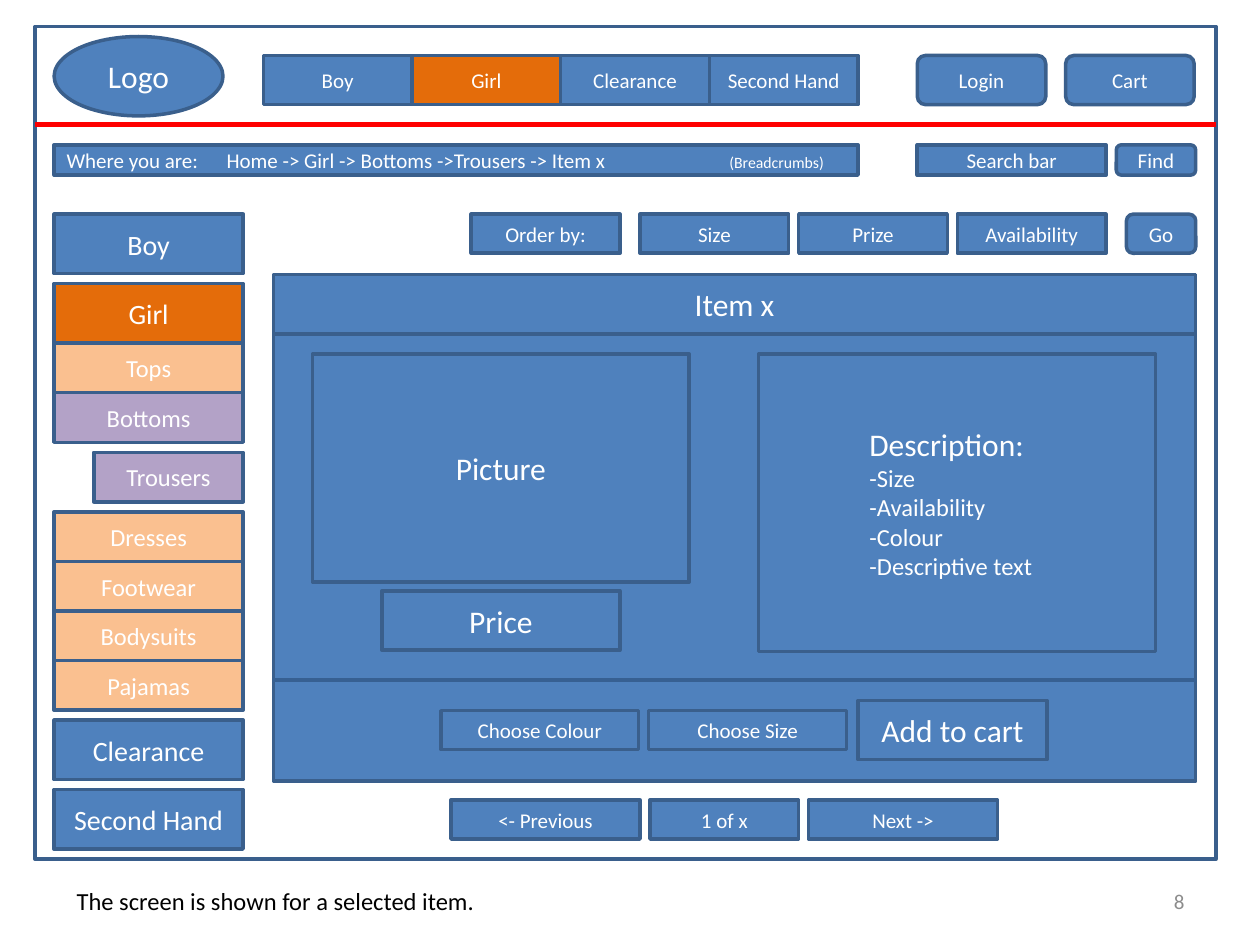
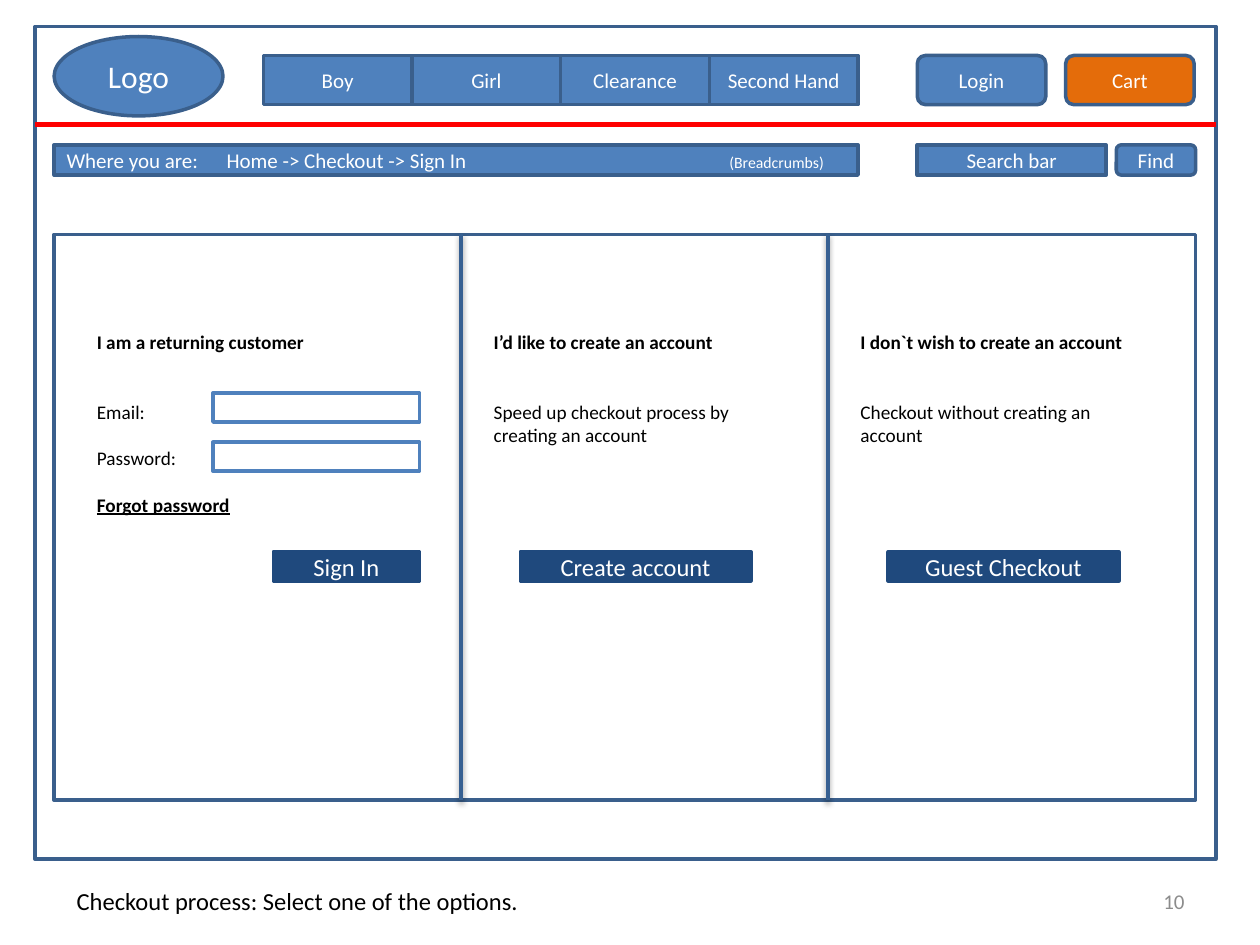
from dataclasses import dataclass
from typing import NamedTuple, Optional, Sequence

from lxml.etree import SubElement
from pptx import Presentation
from pptx.dml.color import RGBColor as Rgb
from pptx.enum.shapes import MSO_CONNECTOR as Link, MSO_SHAPE as Kind
from pptx.enum.text import MSO_ANCHOR as Anchor, PP_ALIGN as Align
from pptx.oxml.ns import qn
from pptx.shapes.autoshape import Shape
from pptx.slide import Slide
from pptx.text.text import _Paragraph as Para
from pptx.util import Inches, Pt


@dataclass(frozen=True)
class Theme:
    """Colours, type sizes and line widths of the wireframe."""
    font: str = "Calibri"
    blue: str = "4F81BD"
    edge: str = "3A5F8C"
    rule: str = "376092"
    navy: str = "1F497D"
    orange: str = "E46C0A"
    peach: str = "FAC090"
    purple: str = "B3A2C7"
    red: str = "FF0000"
    white: str = "FFFFFF"
    black: str = "000000"
    grey: str = "8C8C8C"
    tiny: float = 9
    body: float = 11
    small: float = 12
    mid: float = 14
    menu: float = 16
    large: float = 18
    line: float = 2


T = Theme()
STEP = 1 / 12.7  # layout grid of two millimetres, in inches
GAP = STEP
LEFT, RIGHT = 0.43, 9.49
BAR_TOP, TOOL_TOP, SORT_TOP = 0.44, 1.15, 1.7
LINE_PT = 13.4  # height of one line of body text


@dataclass
class Box:
    """A labelled shape."""
    text: str
    left: float
    top: float
    width: float
    height: float
    size: float = T.small
    fill: Optional[str] = T.blue
    edge: str = T.edge
    kind: Kind = Kind.RECTANGLE


class Entry(NamedTuple):
    """One entry of the side menu; steps are grid units."""
    text: str
    fill: str = T.peach
    size: float = T.mid
    tall: int = 5
    gap: int = 0
    indent: int = 0


class Note(NamedTuple):
    """One paragraph of body text, with the lines left free above it."""
    text: str
    skip: int = 0
    bold: bool = False
    under: bool = False


class Panel(NamedTuple):
    """One checkout option: its text and its button."""
    left: float
    width: float
    height: float
    notes: Sequence[Note]
    button: str
    start: float
    span: float


def style(para: Para, size: float, color: str, bold: bool = False,
          under: bool = False) -> None:
    """Format all runs of a paragraph."""
    for run in para.runs:
        font = run.font
        font.name, font.size = T.font, Pt(size)
        font.bold, font.underline = bold, under
        font.color.rgb = Rgb.from_string(color)


def draw(slide: Slide, box: Box) -> Shape:
    """Draw a box with its centred label."""
    shape = slide.shapes.add_shape(box.kind, Inches(box.left), Inches(box.top),
                                   Inches(box.width), Inches(box.height))
    shape.shadow.inherit = False
    if box.fill:
        shape.fill.solid()
        shape.fill.fore_color.rgb = Rgb.from_string(box.fill)
    else:
        shape.fill.background()
    shape.line.color.rgb = Rgb.from_string(box.edge)
    shape.line.width = Pt(T.line)
    if box.text:
        frame = shape.text_frame
        frame.text = box.text
        frame.vertical_anchor = Anchor.MIDDLE
        for para in frame.paragraphs:
            para.alignment = Align.CENTER
            style(para, box.size, T.white)
    return shape


def row(slide: Slide, texts: Sequence[str], left: float, top: float,
        widths: Sequence[float], height: float, gap: float = GAP,
        active: str = "", kind: Kind = Kind.RECTANGLE) -> None:
    """Draw boxes side by side; the active one is orange."""
    for text, width in zip(texts, widths):
        fill = T.orange if text == active else T.blue
        draw(slide, Box(text, left, top, width, height, fill=fill, kind=kind))
        left += width + gap


def rule(slide: Slide, start: tuple[float, float], end: tuple[float, float],
         color: str, width: float, shade: bool = False) -> None:
    """Draw a straight line, with a soft shadow if asked."""
    line = slide.shapes.add_connector(Link.STRAIGHT, *map(Inches, start + end))
    line.line.color.rgb = Rgb.from_string(color)
    line.line.width = Pt(width)
    effect = SubElement(line._element.spPr, qn("a:effectLst"))
    if shade:
        shadow = SubElement(effect, qn("a:outerShdw"), blurRad=str(Pt(3.1)),
                            dist=str(Pt(1.6)), dir="5400000", rotWithShape="0")
        tint = SubElement(shadow, qn("a:srgbClr"), val=T.black)
        SubElement(tint, qn("a:alpha"), val="38000")


def write(slide: Slide, notes: Sequence[Note], left: float, top: float,
          width: float, height: float, size: float, color: str = T.black) -> Shape:
    """Place plain text on the slide."""
    shape = slide.shapes.add_textbox(Inches(left), Inches(top),
                                     Inches(width), Inches(height))
    frame = shape.text_frame
    frame.word_wrap = True
    frame.text = "\n".join(note.text for note in notes)
    for para, note in zip(frame.paragraphs, notes):
        para.space_before = Pt(note.skip * LINE_PT)
        style(para, size, color, note.bold, note.under)
    return shape


def trail(slide: Slide, where: str) -> None:
    """Draw the breadcrumb bar with its tab stops."""
    bar = draw(slide, Box(f"Where you are:\t{where}\t", LEFT, TOOL_TOP, 6.38, 0.24))
    para = bar.text_frame.paragraphs[0]
    para.alignment = Align.LEFT
    para.add_run().text = "(Breadcrumbs)"
    style(para, T.small, T.white)
    para.runs[-1].font.size = Pt(T.tiny)
    tabs = SubElement(para._p.get_or_add_pPr(), qn("a:tabLst"))
    for pos, side in ((1.27, "l"), (6.01, "r")):
        SubElement(tabs, qn("a:tab"), pos=str(Inches(pos)), algn=side)


def base(slide: Slide, active: str, where: str, text: str, page: int) -> None:
    """Draw the frame, header, caption and page number of each screen."""
    draw(slide, Box("", 0.28, 0.21, 9.37, 6.61, fill=None))
    draw(slide, Box("Logo", LEFT, 0.29, 1.34, 0.63, T.large, kind=Kind.OVAL))
    row(slide, ("Boy", "Girl", "Clearance", "Second Hand"), 2.09, BAR_TOP,
        [1.18] * 4, 0.39, 0, active)
    rule(slide, (0.28, 0.99), (9.65, 0.99), T.red, 3)
    row(slide, ("Login", "Cart"), 7.28, BAR_TOP, [1.02] * 2, 0.39, 2 * GAP,
        active, Kind.ROUNDED_RECTANGLE)
    trail(slide, where)
    draw(slide, Box("Search bar", 7.28, TOOL_TOP, 1.5, 0.24))
    draw(slide, Box("Find", 8.86, TOOL_TOP, 0.63, 0.24, kind=Kind.ROUNDED_RECTANGLE))
    write(slide, [Note(text)], 0.51, 6.98, 9.21, 0.34, T.mid)
    mark = write(slide, [Note(str(page))], 7.17, 6.95, 2.33, 0.4, T.small, T.grey)
    mark.text_frame.vertical_anchor = Anchor.MIDDLE
    mark.text_frame.paragraphs[0].alignment = Align.RIGHT


def menu(slide: Slide) -> None:
    """Stack the side menu down the left edge."""
    items = (
        Entry("Boy", T.blue, T.menu, 6, 1),
        Entry("Girl", T.orange, T.menu, 6),
        Entry("Tops"),
        Entry("Bottoms", T.purple, gap=1),
        Entry("Trousers", T.purple, gap=1, indent=4),
        Entry("Dresses"),
        Entry("Footwear"),
        Entry("Bodysuits"),
        Entry("Pajamas", gap=1),
        Entry("Clearance", T.blue, T.menu, 6, 1),
        Entry("Second Hand", T.blue, T.menu, 6),
    )
    top = SORT_TOP
    for item in items:
        shift = item.indent * STEP
        draw(slide, Box(item.text, LEFT + shift, top, 1.5 - shift,
                        item.tall * STEP, item.size, item.fill))
        top += (item.tall + item.gap) * STEP


def detail(slide: Slide) -> None:
    """Draw the description box: a heading above its list."""
    shape = draw(slide, Box("Description:\n-Size\n-Availability\n-Colour\n"
                            "-Descriptive text", 6.02, 2.81, 3.15, 2.36, T.mid))
    shape.text_frame.margin_left = Inches(0.88)
    for para in shape.text_frame.paragraphs:
        para.alignment = Align.LEFT
    style(shape.text_frame.paragraphs[0], T.large, T.white)


def item(slide: Slide) -> None:
    """Build the screen of a selected item."""
    base(slide, "Girl", "Home -> Girl -> Bottoms ->Trousers -> Item x",
         "The screen is shown for a selected item.", 8)
    menu(slide)
    draw(slide, Box("Order by:", 3.74, SORT_TOP, 1.18, 0.31))
    row(slide, ("Size", "Prize", "Availability"), 5.08, SORT_TOP, [1.18] * 3, 0.31)
    draw(slide, Box("Go", 8.94, SORT_TOP, 0.55, 0.31, kind=Kind.ROUNDED_RECTANGLE))
    draw(slide, Box("", 2.17, 2.18, 7.32, 4.02))
    for box in (Box("Item x", 2.17, 2.18, 7.32, 0.47, T.large),
                Box("Picture", 2.48, 2.81, 2.99, 1.81, T.large),
                Box("Price", 3.03, 4.69, 1.89, 0.47, T.large),
                Box("Add to cart", 6.81, 5.56, 1.5, 0.47, T.large)):
        draw(slide, box)
    detail(slide)
    row(slide, ("Choose Colour", "Choose Size"), 3.5, 5.64, [1.57] * 2, 0.31)
    rule(slide, (2.17, 5.4), (RIGHT, 5.4), T.rule, 2.25)
    row(slide, ("<- Previous", "1 of x", "Next ->"), 3.58, 6.35,
        (1.5, 1.18, 1.5), 0.31)


def checkout(slide: Slide) -> None:
    """Build the screen with the three checkout options."""
    base(slide, "Cart", "Home -> Checkout -> Sign In",
         "Checkout process: Select one of the options.", 10)
    top, low = 1.86, 6.35
    draw(slide, Box("", LEFT, top, RIGHT - LEFT, low - top, fill=T.white))
    for pos in (3.66, 6.57):
        rule(slide, (pos, top), (pos, low), T.rule, T.line, shade=True)
    panels = (
        Panel(0.67, 2.6, 1.58,
              (Note("I am a returning customer", bold=True), Note("Email:", 2),
               Note("Password:", 1), Note("Forgot password", 1, True, True)),
              "Sign In", 2.17, 1.16),
        Panel(3.82, 2.52, 1.03,
              (Note("I\u2019d like to create an account", bold=True),
               Note("Speed up checkout process by creating an account", 2)),
              "Create account", 4.13, 1.83),
        Panel(6.73, 2.52, 1.03,
              (Note("I don`t wish to create an account", bold=True),
               Note("Checkout without creating an account", 2)),
              "Guest Checkout", 7.05, 1.83),
    )
    for panel in panels:
        write(slide, panel.notes, panel.left, 2.57, panel.width, panel.height, T.body)
        draw(slide, Box(panel.button, panel.start, 4.38, panel.span, 0.23,
                        T.mid, T.navy, T.navy))
    for field in (3.12, 3.51):
        draw(slide, Box("", 1.69, field, 1.64, 0.23, fill=T.white, edge=T.blue))


def main() -> None:
    """Build and save the deck."""
    deck = Presentation()
    deck.slide_width, deck.slide_height = Inches(10), Inches(7.5)
    for build in (item, checkout):
        build(deck.slides.add_slide(deck.slide_layouts[6]))
    deck.save("out.pptx")


main()
